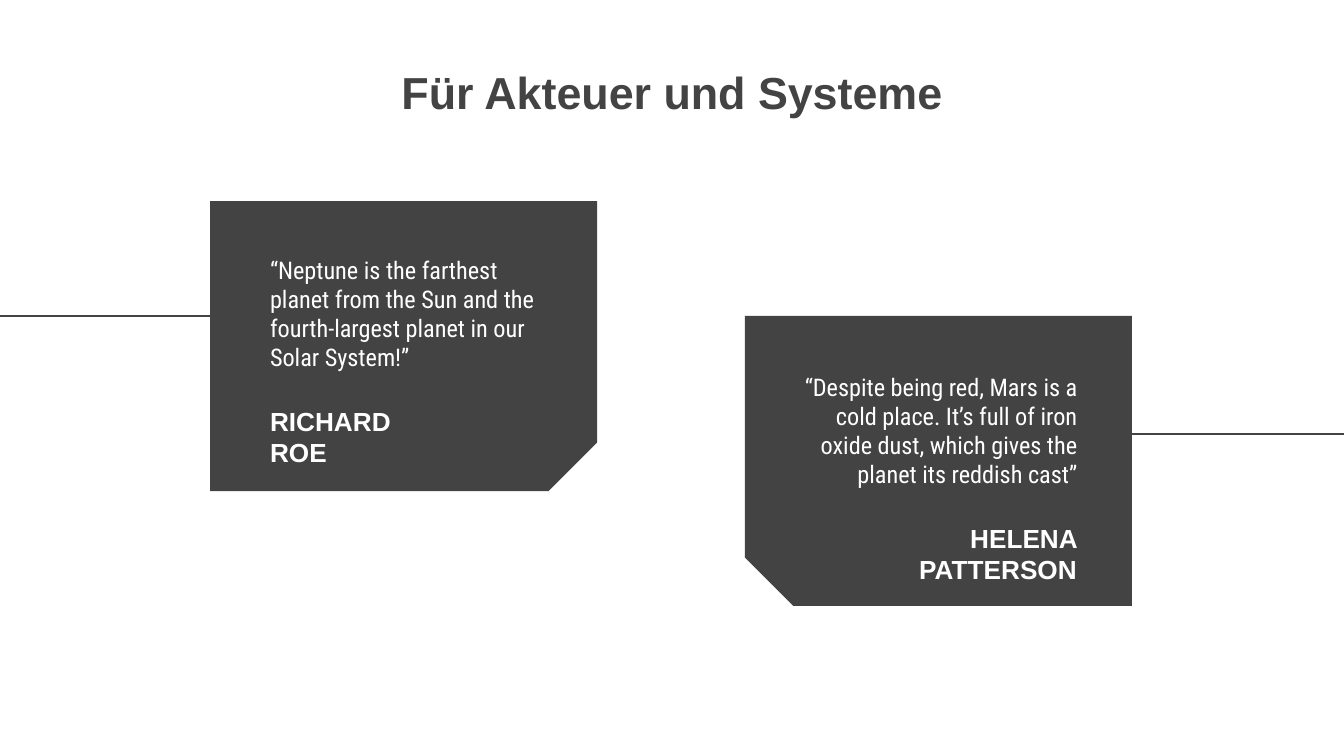
from dataclasses import dataclass
from typing import NamedTuple

from lxml.etree import SubElement
from pptx import Presentation
from pptx.dml.color import RGBColor
from pptx.enum.shapes import MSO_CONNECTOR as Connector, MSO_SHAPE as Preset
from pptx.enum.text import MSO_ANCHOR as Anchor, MSO_AUTO_SIZE as AutoSize, PP_ALIGN as Align
from pptx.oxml.ns import qn
from pptx.util import Emu, Pt

EMU_PER_PX = 914400 / 134.4
SLIDE_WIDTH, SLIDE_HEIGHT = 1344, 756
CARD_WIDTH, CARD_HEIGHT = 387, 290
INSET = 13
COMPARISON_LAYOUT = 4
COLORS = {"dark": "434343", "light": "FFFFFF"}


class Box(NamedTuple):
    left: int
    top: int
    width: int
    height: int


@dataclass(frozen=True)
class TextStyle:
    font: dict
    color: str
    anchor: Anchor = Anchor.TOP


@dataclass(frozen=True)
class Testimonial:
    quote: str
    author: str
    card_left: int
    card_top: int
    quote_box: Box
    author_box: Box
    quote_idx: int
    author_idx: int
    line_start: int
    line_end: int
    line_y: int
    mirrored: bool
    align: Align


TITLE = TextStyle({"name": "Arial", "size": Pt(24), "bold": True}, "dark")
AUTHOR = TextStyle({"name": "Arial", "size": Pt(14), "bold": True}, "light", Anchor.BOTTOM)
QUOTE = TextStyle({"name": "Roboto Condensed", "size": Pt(13), "bold": False}, "light")

TESTIMONIALS = [
    Testimonial(
        "“Despite being red, Mars is a cold place. It’s full of iron oxide dust, "
        "which gives the planet its reddish cast”",
        "HELENA PATTERSON", 745, 316, Box(773, 359, 317, 148), Box(828, 535, 262, 63),
        4, 3, SLIDE_WIDTH, 982, 434, True, Align.RIGHT),
    Testimonial(
        "“Neptune is the farthest planet from the Sun and the fourth-largest planet "
        "in our Solar System!”",
        "RICHARD ROE", 210, 201, Box(257, 242, 317, 148), Box(257, 418, 185, 63),
        2, 1, 356, 0, 316, False, Align.LEFT),
]


def px(length: float) -> Emu:
    return Emu(round(length * EMU_PER_PX))


def color(key: str) -> RGBColor:
    return RGBColor.from_string(COLORS[key])


def apply(target, values: dict) -> None:
    for attribute, value in values.items():
        setattr(target, attribute, value)


def draw_card(slide, item: Testimonial) -> None:
    shift = (CARD_WIDTH - CARD_HEIGHT) / 2
    card = slide.shapes.add_shape(
        Preset.SNIP_1_RECTANGLE, px(item.card_left + shift), px(item.card_top - shift),
        px(CARD_HEIGHT), px(CARD_WIDTH))
    card.adjustments[0] = 0.167
    card.shadow.inherit = False
    card.fill.solid()
    card.fill.fore_color.rgb = color("dark")
    card.line.fill.background()
    card.rotation = 270 if item.mirrored else 90
    if item.mirrored:
        card._element.spPr.xfrm.set("flipH", "1")


def draw_line(slide, item: Testimonial) -> None:
    line = slide.shapes.add_connector(
        Connector.STRAIGHT, px(item.line_start), px(item.line_y),
        px(item.line_end), px(item.line_y))
    line.line.color.rgb = color("dark")
    line.line.width = Pt(0.75)
    SubElement(line._element.spPr, qn("a:effectLst"))


def fill_placeholder(slide, idx: int, text: str, box: Box, style: TextStyle, align: Align) -> None:
    holder = slide.placeholders[idx]
    apply(holder, {side: px(length) for side, length in box._asdict().items()})
    slide.shapes._spTree.append(holder._element)
    frame = holder.text_frame
    frame.text = text
    apply(frame, {"word_wrap": True, "auto_size": AutoSize.NONE,
                  "vertical_anchor": style.anchor,
                  **{f"margin_{side}": px(INSET) for side in ("left", "top", "right", "bottom")}})
    paragraph = frame.paragraphs[0]
    apply(paragraph, {"alignment": align, "space_before": Pt(0), "line_spacing": 1.0})
    properties = paragraph._p.get_or_add_pPr()
    for name in ("marL", "indent"):
        properties.set(name, "0")
    SubElement(properties, qn("a:buNone"))
    font = paragraph.runs[0].font
    apply(font, style.font)
    font.color.rgb = color(style.color)


def main() -> None:
    presentation = Presentation()
    apply(presentation, {"slide_width": px(SLIDE_WIDTH), "slide_height": px(SLIDE_HEIGHT)})
    slide = presentation.slides.add_slide(presentation.slide_layouts[COMPARISON_LAYOUT])
    for item in TESTIMONIALS:
        draw_card(slide, item)
        draw_line(slide, item)
    fill_placeholder(slide, 0, "Für Akteuer und Systeme", Box(289, 52, 766, 138),
                     TITLE, Align.CENTER)
    for item in reversed(TESTIMONIALS):
        fill_placeholder(slide, item.author_idx, item.author, item.author_box, AUTHOR, item.align)
        fill_placeholder(slide, item.quote_idx, item.quote, item.quote_box, QUOTE, item.align)
    presentation.save("out.pptx")


if __name__ == "__main__":
    main()
